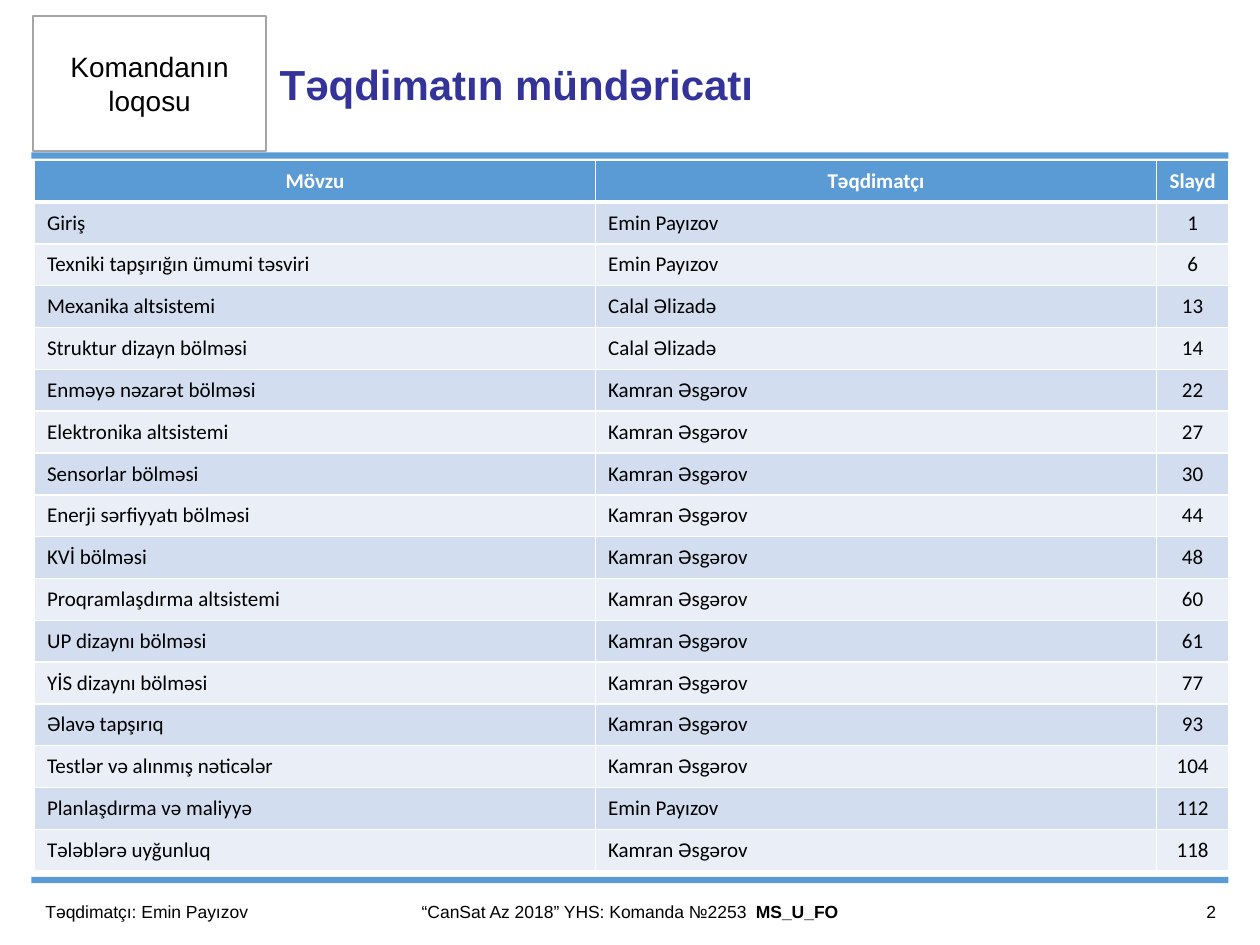
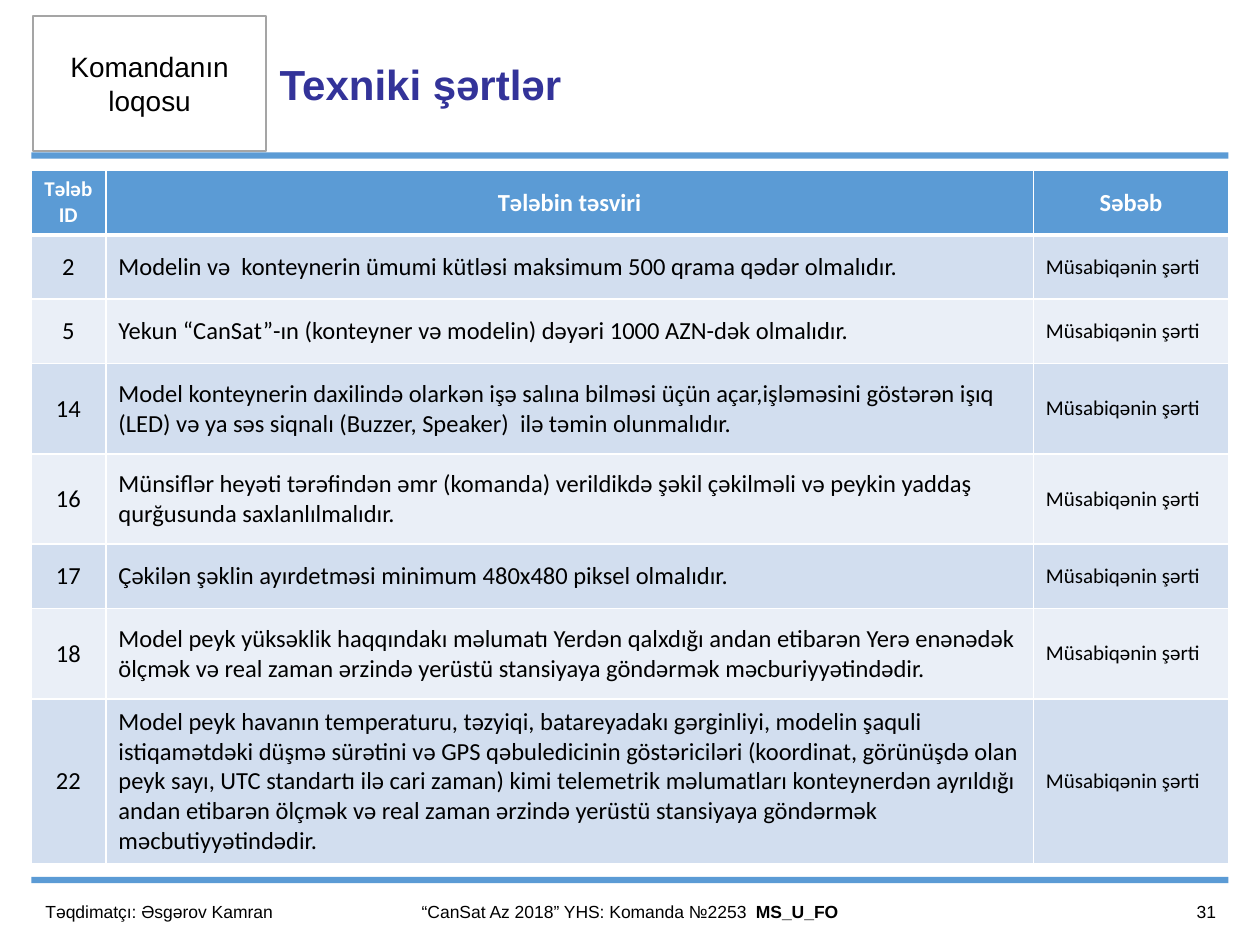
from lxml.etree import SubElement
from pptx import Presentation
from pptx.dml.color import RGBColor
from pptx.enum.shapes import MSO_SHAPE
from pptx.enum.text import MSO_ANCHOR, PP_ALIGN
from pptx.oxml.ns import qn
from pptx.util import Pt

BLUE, NAVY, GREY = "5B9BD5", "333399", "A5A5A5"
WHITE, BLACK = "FFFFFF", "000000"
BANDS = ("D2DEEF", "EAEFF7")
LEFT, MID, RIGHT = PP_ALIGN.LEFT, PP_ALIGN.CENTER, PP_ALIGN.RIGHT

EMIN, CALAL, KAMRAN = "Emin Payızov", "Calal Əlizadə", "Kamran Əsgərov"
TOPICS = [
    ("Giriş", EMIN, "1"),
    ("Texniki tapşırığın ümumi təsviri", EMIN, "6"),
    ("Mexanika altsistemi", CALAL, "13"),
    ("Struktur dizayn bölməsi", CALAL, "14"),
    ("Enməyə nəzarət bölməsi", KAMRAN, "22"),
    ("Elektronika altsistemi", KAMRAN, "27"),
    ("Sensorlar bölməsi", KAMRAN, "30"),
    ("Enerji sərfiyyatı bölməsi", KAMRAN, "44"),
    ("KVİ bölməsi", KAMRAN, "48"),
    ("Proqramlaşdırma altsistemi", KAMRAN, "60"),
    ("UP dizaynı bölməsi", KAMRAN, "61"),
    ("YİS dizaynı bölməsi", KAMRAN, "77"),
    ("Əlavə tapşırıq", KAMRAN, "93"),
    ("Testlər və alınmış nəticələr", KAMRAN, "104"),
    ("Planlaşdırma və maliyyə", EMIN, "112"),
    ("Tələblərə uyğunluq", KAMRAN, "118"),
]
NEEDS = [
    ("2", "Modelin və  konteynerin ümumi kütləsi maksimum 500 qrama qədər olmalıdır."),
    ("5", "Yekun “CanSat”-ın (konteyner və modelin) dəyəri 1000 AZN-dək olmalıdır."),
    ("14", "Model konteynerin daxilində olarkən işə salına bilməsi üçün açar,işləməsini "
           "göstərən işıq (LED) və ya səs siqnalı (Buzzer, Speaker)  ilə təmin olunmalıdır."),
    ("16", "Münsiflər heyəti tərəfindən əmr (komanda) verildikdə şəkil çəkilməli və "
           "peykin yaddaş qurğusunda saxlanlılmalıdır."),
    ("17", "Çəkilən şəklin ayırdetməsi minimum 480x480 piksel olmalıdır."),
    ("18", "Model peyk yüksəklik haqqındakı məlumatı Yerdən qalxdığı andan etibarən Yerə "
           "enənədək ölçmək və real zaman ərzində yerüstü stansiyaya göndərmək "
           "məcburiyyətindədir."),
    ("22", "Model peyk havanın temperaturu, təzyiqi, batareyadakı gərginliyi, modelin "
           "şaquli istiqamətdəki düşmə sürətini və GPS qəbuledicinin göstəriciləri "
           "(koordinat, görünüşdə olan peyk sayı, UTC standartı ilə cari zaman) kimi "
           "telemetrik məlumatları konteynerdən ayrıldığı andan etibarən ölçmək və real "
           "zaman ərzində yerüstü stansiyaya göndərmək məcbutiyyətindədir."),
]


def color(code):
    return RGBColor.from_string(code)


def write(frame, text, size=10, face="Arial", ink=BLACK, bold=False, align=LEFT, tail=""):
    frame.word_wrap = True
    para = frame.paragraphs[0]
    para.alignment = align
    for part, heavy in ((text, bold), (tail, True)):
        if part:
            run = para.add_run()
            run.text = part
            font = run.font
            font.size, font.name, font.bold = Pt(size), face, heavy
            font.color.rgb = color(ink)


def border(cell, **widths):
    props = cell._tc.get_or_add_tcPr()
    for side in "LRTB":
        line = SubElement(props, qn(f"a:ln{side}"), w=str(Pt(widths.get(side, 1))))
        fill = SubElement(line, qn("a:solidFill"))
        SubElement(fill, qn("a:srgbClr"), val=WHITE)


class Deck:
    def __init__(self):
        self.show = Presentation()
        self.show.slide_width, self.show.slide_height = Pt(720), Pt(540)

    def page(self, title, host, number):
        self.slide = self.show.slides.add_slide(self.show.slide_layouts[5])
        for top in (87.1, 501.1):
            self.rect(18, top, 684, 3.6, BLUE)
        logo = self.rect(18.9, 9.2, 133.2, 77, WHITE, GREY)
        write(logo.text_frame, "Komandanın loqosu", size=16, align=MID)
        self.title(title)
        self.label(18.9, 172, f"Təqdimatçı: {host}")
        self.label(190.8, 338.4, "“CanSat Az 2018” YHS: Komanda №2253  ",
                   align=MID, tail="MS_U_FO")
        self.label(630, 72, number, align=RIGHT)

    def rect(self, left, top, width, height, fill, line=None):
        shape = self.slide.shapes.add_shape(
            MSO_SHAPE.RECTANGLE, Pt(left), Pt(top), Pt(width), Pt(height))
        shape.shadow.inherit = False
        shape.fill.solid()
        shape.fill.fore_color.rgb = color(fill)
        if line:
            shape.line.color.rgb = color(line)
            shape.line.width = Pt(1)
        else:
            shape.line.fill.background()
        return shape

    def title(self, text):
        box = self.slide.shapes.title
        box.left, box.top, box.width, box.height = Pt(152.6), Pt(9.4), Pt(432), Pt(76.3)
        box.text_frame.vertical_anchor = MSO_ANCHOR.MIDDLE
        write(box.text_frame, text, size=24, ink=NAVY, bold=True)

    def label(self, left, width, text, **style):
        box = self.slide.shapes.add_textbox(Pt(left), Pt(506.2), Pt(width), Pt(28.8))
        box.text_frame.vertical_anchor = MSO_ANCHOR.MIDDLE
        write(box.text_frame, text, **style)

    def table(self, left, top, widths, heights, rows, aligns, sizes, heads):
        grid = self.slide.shapes.add_table(
            len(rows), len(widths), Pt(left), Pt(top),
            Pt(sum(widths)), Pt(sum(heights))).table
        for col, width in zip(grid.columns, widths):
            col.width = Pt(width)
        for r, (row, height) in enumerate(zip(rows, heights)):
            grid.rows[r].height = Pt(height)
            head = r == 0
            for c, text in enumerate(row):
                cell = grid.cell(r, c)
                border(cell, T=3 if r == 1 else 1, B=3 if head else 1)
                cell.fill.solid()
                cell.fill.fore_color.rgb = color(BLUE if head else BANDS[(r - 1) % 2])
                cell.vertical_anchor = MSO_ANCHOR.MIDDLE
                write(cell.text_frame, text, face="Calibri", bold=head,
                      size=heads[c] if head else sizes[c],
                      ink=WHITE if head else BLACK,
                      align=MID if head else aligns[c])


def main():
    deck = Deck()

    deck.page("Təqdimatın mündəricatı", EMIN, "2")
    rows = [("Mövzu", "Təqdimatçı", "Slayd"), *TOPICS]
    deck.table(19.7, 91.6, (320.6, 320.6, 41.2), [23.9] * len(rows), rows,
               aligns=(LEFT, LEFT, MID), sizes=(12, 12, 12), heads=(12, 12, 12))

    deck.page("Texniki şərtlər", "Əsgərov Kamran", "31")
    rows = [("Tələb ID", "Tələbin təsviri", "Səbəb")]
    rows += [(*need, "Müsabiqənin şərti") for need in NEEDS]
    low, mid, high = 36.8, 51.6, 94.4
    deck.table(17.6, 97.4, (42.9, 530, 111.6),
               (low, low, low, mid, mid, low, mid, high), rows,
               aligns=(MID, LEFT, LEFT), sizes=(14, 14, 12), heads=(12, 14, 14))

    deck.show.save("out.pptx")


if __name__ == "__main__":
    main()
